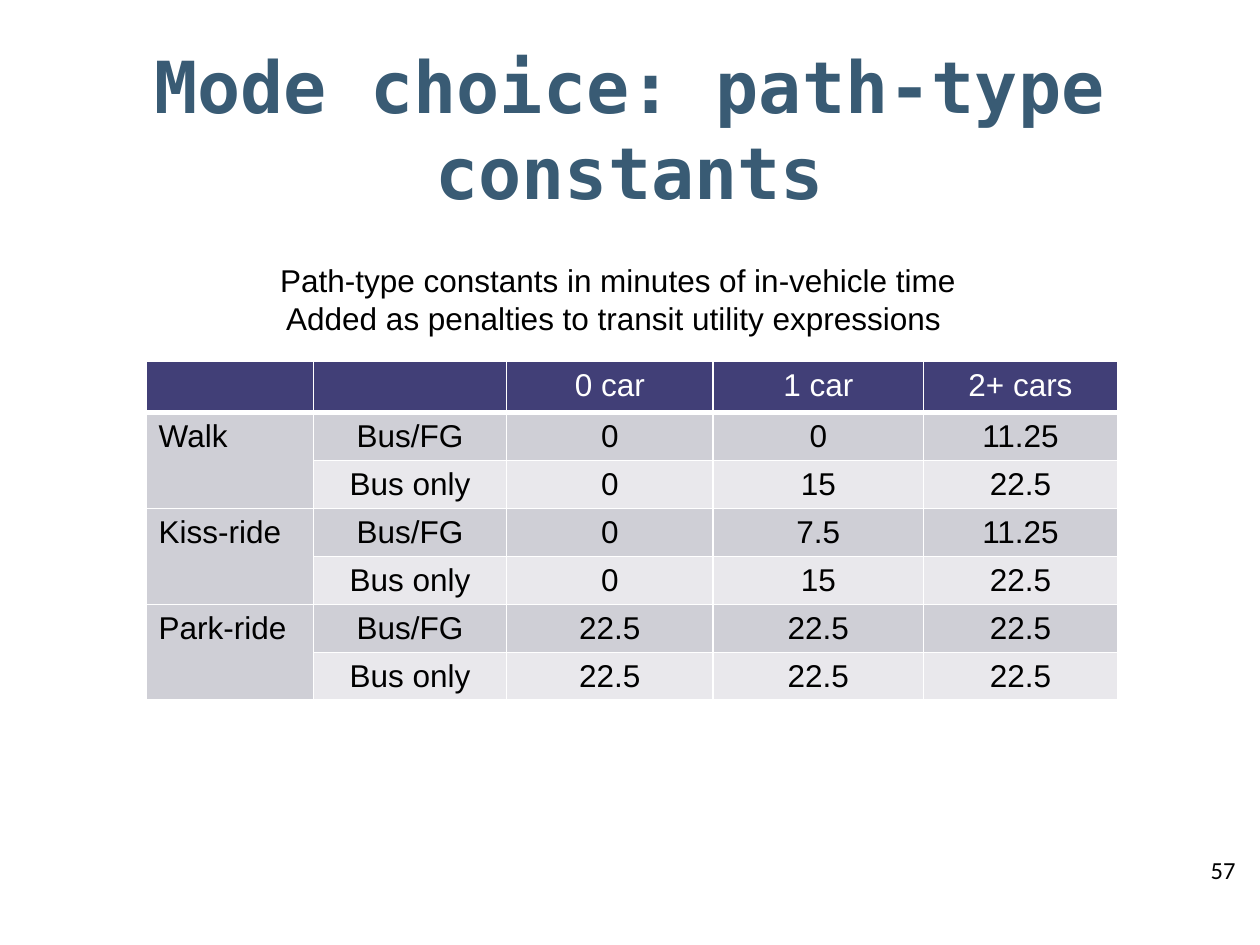
from lxml import etree
from pptx import Presentation
from pptx.dml.color import RGBColor
from pptx.enum import text
from pptx.oxml import ns
from pptx.util import Inches, Pt

WHITE = RGBColor(0xFF, 0xFF, 0xFF)
BLACK = RGBColor(0, 0, 0)
SLATE = RGBColor(0x39, 0x5B, 0x74)
INDIGO = RGBColor(0x41, 0x3F, 0x77)
BAND_DARK = RGBColor(0xCF, 0xCF, 0xD6)
BAND_LIGHT = RGBColor(0xE9, 0xE8, 0xEC)

TITLE_FORMAT = {"name": "DejaVu Sans Mono", "size": Pt(41), "bold": True}
BODY_FORMAT = {"name": "Arial", "size": Pt(18)}
NUMBER_FORMAT = {"name": "Calibri", "size": Pt(14)}

CAPTION = [
    "Path-type constants in minutes of in-vehicle time",
    "Added as penalties to transit utility expressions ",
]
CONSTANTS = [
    ["", "", "0 car", "1 car", "2+ cars"],
    ["Walk", "Bus/FG", "0", "0", "11.25"],
    ["", "Bus only", "0", "15", "22.5"],
    ["Kiss-ride", "Bus/FG", "0", "7.5", "11.25"],
    ["", "Bus only", "0", "15", "22.5"],
    ["Park-ride", "Bus/FG", "22.5", "22.5", "22.5"],
    ["", "Bus only", "22.5", "22.5", "22.5"],
]
COLUMN_WIDTHS = [1.33, 1.53, 1.64, 1.67, 1.54]
HEADER_HEIGHT, ROW_HEIGHT = 0.4, 0.38


def write(frame, lines, font_format, color, align):
    frame.word_wrap = True
    for index, line in enumerate(lines):
        paragraph = frame.add_paragraph() if index else frame.paragraphs[0]
        paragraph.alignment = align
        run = paragraph.add_run()
        run.text = line
        for attribute, value in font_format.items():
            setattr(run.font, attribute, value)
        run.font.color.rgb = color


def place_title(slide, box):
    title = slide.shapes.title
    for side, length in zip(("left", "top", "width", "height"), box):
        setattr(title, side, Inches(length))
    frame = title.text_frame
    write(frame, ["Mode choice: path-type constants"], TITLE_FORMAT, SLATE,
          text.PP_ALIGN.CENTER)
    frame.auto_size = text.MSO_AUTO_SIZE.NONE
    frame.vertical_anchor = text.MSO_ANCHOR.MIDDLE


def place_text(slide, box, lines, font_format, align):
    label = slide.shapes.add_textbox(*map(Inches, box))
    write(label.text_frame, lines, font_format, BLACK, align)


def draw_borders(cell, bottom_width):
    properties = cell._tc.get_or_add_tcPr()
    widths = {"lnL": 1, "lnR": 1, "lnT": 1, "lnB": bottom_width}
    for edge, width in widths.items():
        line = etree.SubElement(properties, ns.qn(f"a:{edge}"), w=str(Pt(width)))
        fill = etree.SubElement(line, ns.qn("a:solidFill"))
        etree.SubElement(fill, ns.qn("a:srgbClr"), val=str(WHITE))


def place_constants(slide, box):
    constants = slide.shapes.add_table(
        len(CONSTANTS), len(COLUMN_WIDTHS), *map(Inches, box)).table
    for column, width in zip(constants.columns, COLUMN_WIDTHS):
        column.width = Inches(width)
    for r, values in enumerate(CONSTANTS):
        header = r == 0
        constants.rows[r].height = Inches(HEADER_HEIGHT if header else ROW_HEIGHT)
        for c, value in enumerate(values):
            cell = constants.cell(r, c)
            draw_borders(cell, 3 if header else 1)
            dark = c == 0 or r % 2 == 1
            cell.fill.solid()
            cell.fill.fore_color.rgb = (
                INDIGO if header else BAND_DARK if dark else BAND_LIGHT)
            if value:
                write(cell.text_frame, [value], BODY_FORMAT,
                      WHITE if header else BLACK,
                      text.PP_ALIGN.CENTER if c else text.PP_ALIGN.LEFT)
    for r in range(1, len(CONSTANTS), 2):
        constants.cell(r, 0).merge(constants.cell(r + 1, 0))


def main():
    deck = Presentation()
    deck.slide_width, deck.slide_height = Inches(10), Inches(7.5)
    slide = deck.slides.add_slide(deck.slide_layouts[5])
    place_title(slide, (0.5, 0.48, 9, 1.07))
    place_constants(slide, (1.16, 2.87, 7.71, 2.68))
    place_text(slide, (1.37, 2.02, 7.07, 0.71), CAPTION, BODY_FORMAT,
               text.PP_ALIGN.CENTER)
    place_text(slide, (9.51, 6.74, 0.58, 0.77), ["57"], NUMBER_FORMAT,
               text.PP_ALIGN.LEFT)
    deck.save("out.pptx")


if __name__ == "__main__":
    main()
